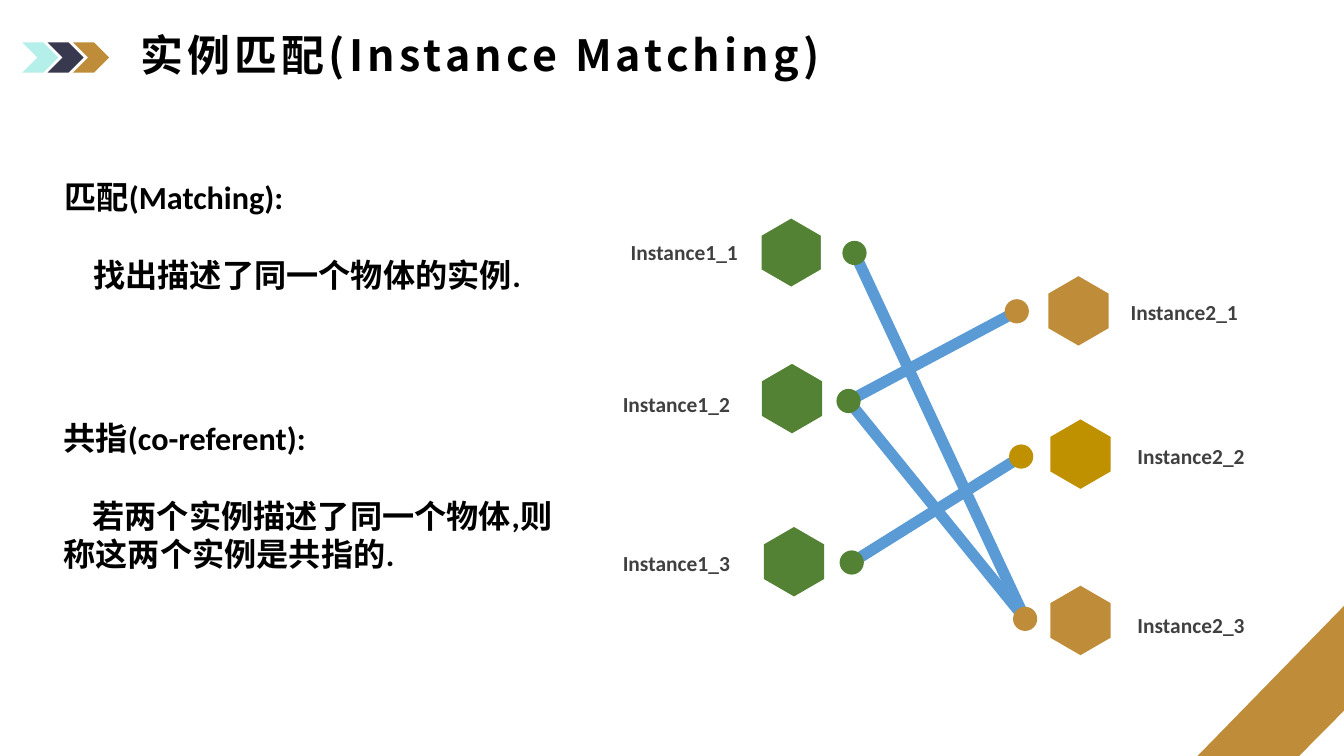
import pptx
import pptx.util
import pptx.dml.color
import pptx.enum.shapes
import pptx.enum.text
import pptx.oxml.ns
from lxml import etree

Cm = pptx.util.Cm
Pt = pptx.util.Pt
RGB = pptx.dml.color.RGBColor
ALIGN = pptx.enum.text.PP_ALIGN

MINT = RGB(0xB4, 0xEF, 0xE9)
NAVY = RGB(0x38, 0x38, 0x4F)
TAN = RGB(0xBF, 0x8C, 0x39)
GOLD = RGB(0xBF, 0x90, 0x00)
GREEN = RGB(0x54, 0x82, 0x35)
BLUE = RGB(0x5B, 0x9B, 0xD5)
GRAY = RGB(0x40, 0x40, 0x40)
BLACK = RGB(0, 0, 0)
WHITE = RGB(0xFF, 0xFF, 0xFF)

deck = pptx.Presentation()
deck.slide_width, deck.slide_height = Cm(33.87), Cm(19.05)
slide = deck.slides.add_slide(deck.slide_layouts[6])
shapes = slide.shapes


def outline(points, color):
    spots = [(Cm(x), Cm(y)) for x, y in points]
    pen = shapes.build_freeform(*spots[0], scale=1.0)
    pen.add_line_segments(spots[1:], close=True)
    shape = pen.convert_to_shape()
    shape.shadow.inherit = False
    shape.fill.solid()
    shape.fill.fore_color.rgb = color
    shape.line.fill.background()
    return shape


def write(box, lines, size, color, face="Calibri", wrap=True, **look):
    frame = shapes.add_textbox(*map(Cm, box)).text_frame
    frame.word_wrap = wrap
    frame.auto_size = pptx.enum.text.MSO_AUTO_SIZE.SHAPE_TO_FIT_TEXT
    for i, line in enumerate(lines):
        para = frame.paragraphs[0] if i == 0 else frame.add_paragraph()
        for key, value in look.items():
            setattr(para, key, value)
        run = para.add_run()
        run.text = line
        for key, value in {"size": Pt(size), "bold": True, "name": face}.items():
            setattr(run.font, key, value)
        run.font.color.rgb = color
        east = etree.SubElement(run.font._element, pptx.oxml.ns.qn("a:ea"))
        east.set("typeface", face)
    return frame


# Chevrons beside the title
for i, color in enumerate((MINT, NAVY, TAN)):
    x = 0.56 + 0.64 * i
    outline([(x, 1.07), (x + 0.53, 1.07), (x + 0.91, 1.45),
             (x + 0.53, 1.83), (x, 1.83), (x + 0.38, 1.45)], color)

# Corner band
outline([(33.87, 15.27), (33.87, 17.91), (32.74, 19.05), (30.18, 19.05)], TAN)

# Title
title = write((3.28, 0.81, 17.78, 1.57), ["实例匹配(Instance Matching)"],
              30.7, BLACK, "Noto Sans CJK SC", line_spacing=0.83)
title.paragraphs[0].runs[0].font._element.set("spc", "300")

# Definitions: heading, then an indented sentence
terms = [
    ((1.37, 4.34, 13.46, 3.15), "匹配(Matching):", "找出描述了同一个物体的实例."),
    ((1.35, 10.41, 13.46, 4.14), "共指(co-referent):",
     "若两个实例描述了同一个物体,则称这两个实例是共指的."),
]
for box, head, body in terms:
    para = write(box, [head, body], 23, BLACK).paragraphs[1]
    para.space_before = Pt(28)
    para._p.get_or_add_pPr().set("indent", str(Cm(0.73)))

# Instances: hexagon, dot and label corners, colour
nodes = {
    "Instance1_1": ((19.18, 5.49), (21.23, 6.07), (15.47, 5.89), GREEN),
    "Instance1_2": ((19.2, 9.17), (21.08, 9.8), (15.27, 9.73), GREEN),
    "Instance1_3": ((19.25, 13.28), (21.16, 13.87), (15.27, 13.74), GREEN),
    "Instance2_1": ((26.42, 6.96), (25.32, 7.54), (28.07, 7.42), TAN),
    "Instance2_2": ((26.47, 10.57), (25.43, 11.2), (28.24, 11.05), GOLD),
    "Instance2_3": ((26.47, 14.76), (25.53, 15.29), (28.24, 15.29), TAN),
}
DOT = 0.61

# Links between dot centres
for left, right in (("1_3", "2_2"), ("1_2", "2_1"), ("1_1", "2_3"), ("1_2", "2_3")):
    ends = [Cm(n + DOT / 2) for side in (left, right)
            for n in nodes["Instance" + side][1]]
    link = shapes.add_connector(pptx.enum.shapes.MSO_CONNECTOR.STRAIGHT, *ends)
    link.line.color.rgb = BLUE
    link.line.width = Pt(8)
    etree.SubElement(link._element.spPr, pptx.oxml.ns.qn("a:effectLst"))

# Hexagons, dots and labels
for name, ((x, y), spot, corner, color) in nodes.items():
    hexa = outline([(x + 0.76, y), (x + 1.52, y + 0.44), (x + 1.52, y + 1.31),
                    (x + 0.76, y + 1.75), (x, y + 1.31), (x, y + 0.44)], color)
    if name == "Instance1_1":
        hexa.line.color.rgb = WHITE
        hexa.line.width = Pt(0.75)
    dot = shapes.add_shape(pptx.enum.shapes.MSO_SHAPE.OVAL,
                           *map(Cm, (*spot, DOT, DOT)))
    dot.shadow.inherit = False
    dot.fill.solid()
    dot.fill.fore_color.rgb = color
    dot.line.fill.background()
    write((*corner, 3.38, 0.86), [name], 15.3, GRAY, wrap=False,
          alignment=ALIGN.RIGHT)

deck.save("out.pptx")
